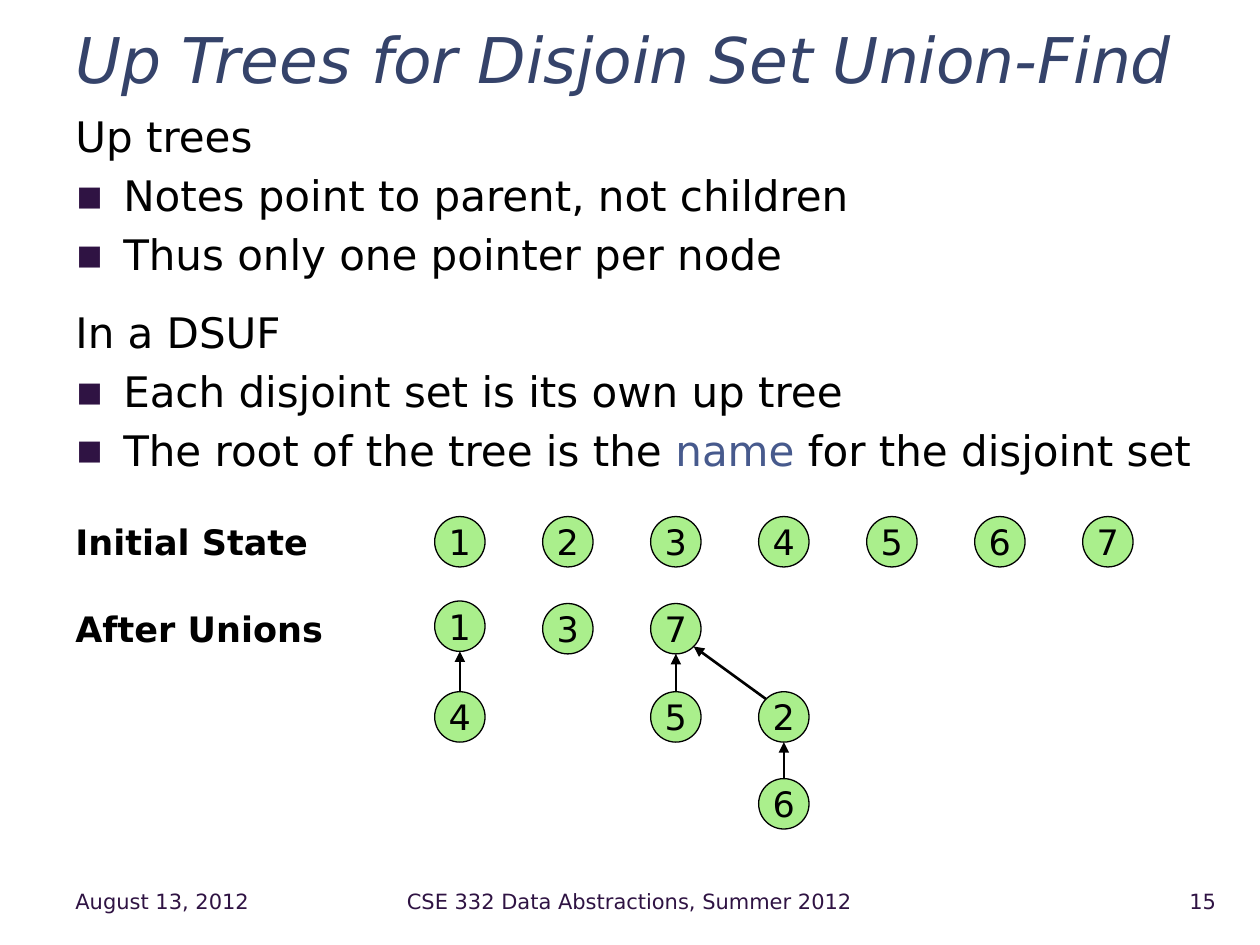
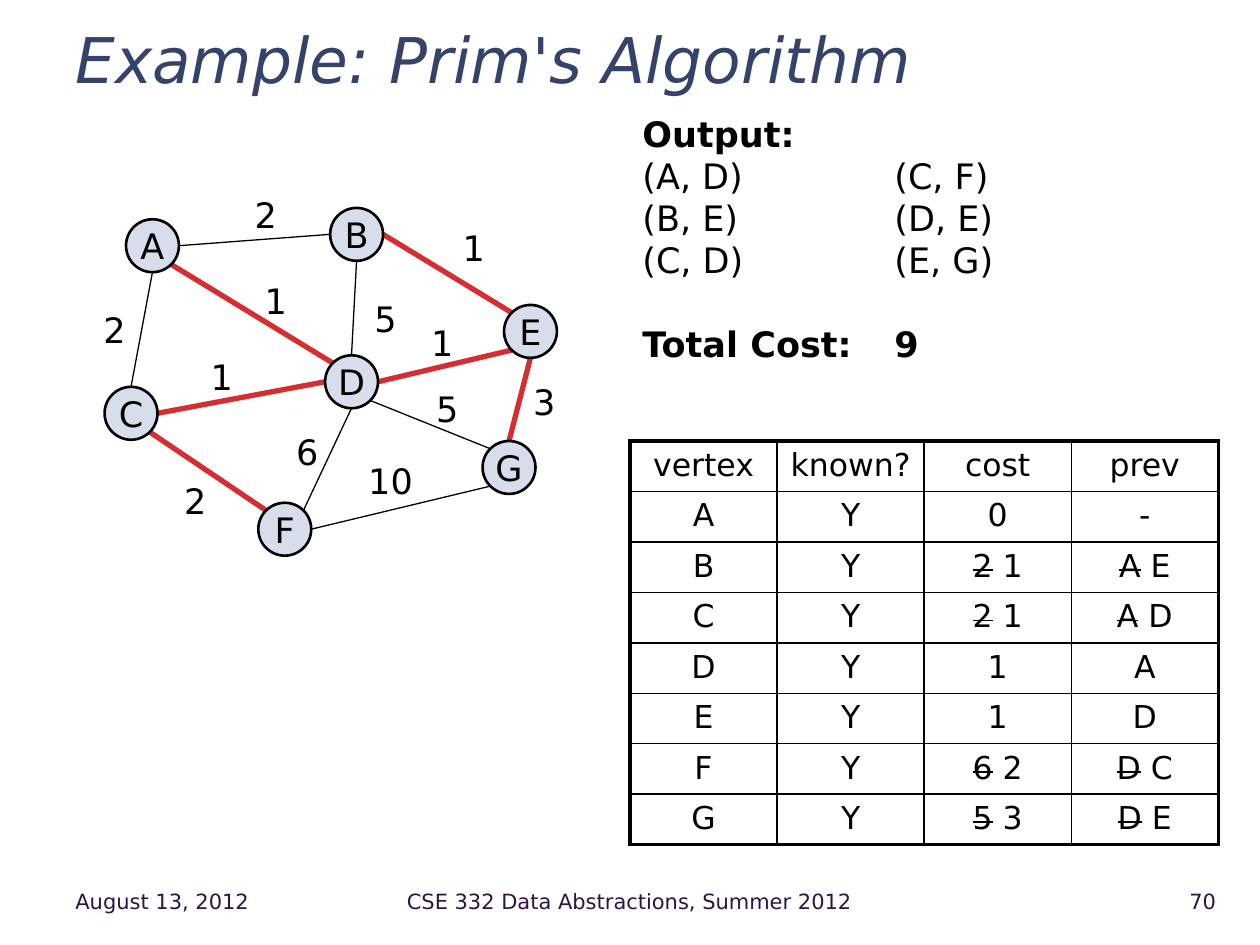
from math import sqrt

from lxml import etree
from pptx import Presentation
from pptx.dml.color import RGBColor
from pptx.enum.shapes import MSO_CONNECTOR as Conn, MSO_SHAPE as Shape
from pptx.enum.text import MSO_ANCHOR as Anchor, PP_ALIGN as Align
from pptx.oxml.ns import qn
from pptx.util import Inches, Pt

FONT = "DejaVu Sans"
BLACK, TITLE, FOOTER = "000000", "35436A", "2F1343"
ACCENT, GREEN, PALE, RED = "475A8D", "AAEF8C", "D7DDEB", "D62D31"
LEFT, WIDTH = 0.5, 9.25

DIAG = sqrt(0.5)
COMPASS = {"N": (0, -1), "NE": (DIAG, -DIAG), "E": (1, 0), "SE": (DIAG, DIAG),
           "S": (0, 1), "SW": (-DIAG, DIAG), "W": (-1, 0), "NW": (-DIAG, -DIAG)}


def rgb(color):
    return RGBColor.from_string(color)


def sub(parent, tag, **attrs):
    return etree.SubElement(parent, qn(tag), attrs)


def add_para(tf, *runs, size=20, color=BLACK, bold=False, italic=False,
             align=Align.LEFT, before=0, bullet=False, tab=None):
    """Fill the frame's empty first paragraph, or add one after the others."""
    p = tf.add_paragraph() if tf.text else tf.paragraphs[0]
    for text in runs:
        p.add_run().text = text
    p.alignment = align
    pPr = p._p.get_or_add_pPr()
    if bullet:
        pPr.set("marL", str(Inches(0.38)))
        pPr.set("indent", str(-Inches(0.38)))
        sub(sub(pPr, "a:buClr"), "a:srgbClr", val=FOOTER)
        sub(pPr, "a:buFont", typeface=FONT)
        sub(pPr, "a:buChar", char="▪")
    if tab:
        sub(sub(pPr, "a:tabLst"), "a:tab", pos=str(Inches(tab)), algn="l")
    if before:
        p.space_before = Pt(before)
    f = p.font
    f.name, f.size, f.bold, f.italic = FONT, Pt(size), bold, italic
    f.color.rgb = rgb(color)
    return p


def add_box(slide, x, y, w, h, anchor=Anchor.TOP):
    tf = slide.shapes.add_textbox(*map(Inches, (x, y, w, h))).text_frame
    tf.word_wrap = True
    tf.vertical_anchor = anchor
    return tf


def add_frame(prs, title, number):
    """Add a slide with its title and footers."""
    slide = prs.slides.add_slide(prs.slide_layouts[6])
    tf = add_box(slide, LEFT, 0.17, WIDTH, 0.53, Anchor.MIDDLE)
    add_para(tf, title, size=36, color=TITLE, italic=True).line_spacing = 1.1
    for x, w, text, align in (
            (LEFT, 1.75, "August 13, 2012", Align.LEFT),
            (2.32, 5.35, "CSE 332 Data Abstractions, Summer 2012", Align.CENTER),
            (8.89, 0.86, number, Align.RIGHT)):
        tf = add_box(slide, x, 6.95, w, 0.4, Anchor.MIDDLE)
        add_para(tf, text, size=12, color=FOOTER, align=align)
    return slide


def add_node(slide, center, label, radius, fill, line_width):
    x, y = center
    sp = slide.shapes.add_shape(
        Shape.OVAL, *map(Inches, (x - radius, y - radius, 2 * radius, 2 * radius)))
    sp.shadow.inherit = False
    sp.fill.solid()
    sp.fill.fore_color.rgb = rgb(fill)
    sp.line.color.rgb = rgb(BLACK)
    sp.line.width = Pt(line_width)
    tf = sp.text_frame
    tf.margin_left = tf.margin_right = tf.margin_top = tf.margin_bottom = 0
    tf.word_wrap = False
    tf.vertical_anchor = Anchor.MIDDLE
    add_para(tf, label, align=Align.CENTER)


def rim(center, site, radius):
    """Point on a node's outline at a compass site."""
    return [Inches(c + radius * d) for c, d in zip(center, COMPASS[site])]


def add_edge(slide, start, end, color=BLACK, width=0.75, arrow=False):
    cx = slide.shapes.add_connector(Conn.STRAIGHT, *start, *end)
    cx.line.color.rgb = rgb(color)
    cx.line.width = Pt(width)
    if arrow:
        sub(cx.line._get_or_add_ln(), "a:tailEnd", type="triangle")
    sub(cx._element.spPr, "a:effectLst")


def add_table(slide, rows, x, y, w, row_h):
    n_rows, n_cols = len(rows), len(rows[0])
    table = slide.shapes.add_table(
        n_rows, n_cols, *map(Inches, (x, y, w, row_h * n_rows))).table
    table.first_row = table.horz_banding = False
    for i, row in enumerate(rows):
        for j, text in enumerate(row):
            cell = table.cell(i, j)
            outer = {"L": j == 0, "R": j == n_cols - 1,
                     "T": i == 0, "B": i == n_rows - 1}
            set_cell(cell, text, outer)


def set_cell(cell, text, outer):
    """Write a cell; of two values the first is struck out."""
    cell.margin_left = cell.margin_right = Inches(0.05)
    tcPr = cell._tc.get_or_add_tcPr()
    for side, is_outer in outer.items():
        ln = sub(tcPr, f"a:ln{side}", w=str(Pt(2.25 if is_outer else 1)))
        sub(sub(ln, "a:solidFill"), "a:srgbClr", val=BLACK)
    cell.fill.background()
    old, space, new = text.partition(" ")
    runs = (old, space + new) if new else (old,)
    p = add_para(cell.text_frame, *runs, size=18, align=Align.CENTER)
    if new:
        p.runs[0]._r.get_or_add_rPr().set("strike", "sngStrike")


def build_up_trees(prs):
    slide = add_frame(prs, "Up Trees for Disjoin Set Union-Find", "15")
    tf = add_box(slide, LEFT, 0.83, WIDTH, 3.25)
    add_para(tf, "Up trees", size=24)
    for text in "Notes point to parent, not children", "Thus only one pointer per node":
        add_para(tf, text, size=24, before=4.8, bullet=True)
    add_para(tf, "In a DSUF", size=24, before=16)
    add_para(tf, "Each disjoint set is its own up tree", size=24, before=4.8, bullet=True)
    p = add_para(tf, "The root of the tree is the ", "name", " for the disjoint set",
                 size=24, before=4.8, bullet=True)
    p.runs[1].font.color.rgb = rgb(ACCENT)

    for y, text in (4.08, "Initial State"), (4.77, "After Unions"):
        add_para(add_box(slide, LEFT, y, 2.5, 0.44), text, bold=True)

    radius = 0.2
    columns = [3.65 + i * 6 / 7 for i in range(7)]
    initial = {str(i + 1): (x, 4.3) for i, x in enumerate(columns)}
    roots, children, leaf = 4.99, 5.69, 6.38
    unions = {"1": (columns[0], 4.97), "3": (columns[1], roots),
              "7": (columns[2], roots), "4": (columns[0], children),
              "5": (columns[2], children), "2": (columns[3], children),
              "6": (columns[3], leaf)}
    for child, site, parent, parent_site in (
            ("4", "N", "1", "S"), ("5", "N", "7", "S"),
            ("2", "NW", "7", "SE"), ("6", "N", "2", "S")):
        add_edge(slide, rim(unions[child], site, radius),
                 rim(unions[parent], parent_site, radius), width=1.5, arrow=True)
    for state in initial, unions:
        for label, center in state.items():
            add_node(slide, center, label, radius, GREEN, 0.75)


def build_prim(prs):
    slide = add_frame(prs, "Example: Prim's Algorithm", "70")
    radius = 0.21
    vertices = {"A": (1.21, 1.95), "B": (2.83, 1.86), "C": (1.04, 3.28),
                "D": (2.79, 3.03), "E": (4.21, 2.63), "F": (2.26, 4.2),
                "G": (4.04, 3.71)}
    # start, site, end, site, in spanning tree, weight, centre of the weight
    edges = [("A", "S", "C", "N", False, "2", 0.91, 2.62),
             ("B", "W", "A", "E", False, "2", 2.11, 1.71),
             ("D", "N", "B", "S", False, "5", 3.06, 2.53),
             ("A", "SE", "D", "NW", True, "1", 2.19, 2.39),
             ("C", "E", "D", "W", True, "1", 1.76, 2.99),
             ("D", "E", "E", "SW", True, "1", 3.51, 2.72),
             ("E", "NW", "B", "E", True, "1", 3.76, 1.97),
             ("C", "SE", "F", "NW", True, "2", 1.55, 3.98),
             ("D", "S", "F", "NE", False, "6", 2.44, 3.59),
             ("D", "SE", "G", "NW", False, "5", 3.55, 3.25),
             ("G", "N", "E", "S", True, "3", 4.32, 3.19),
             ("F", "E", "G", "SW", False, "10", 3.1, 3.82)]
    for a, a_site, b, b_site, in_tree, weight, x, y in edges:
        color, width = (RED, 3) if in_tree else (BLACK, 0.75)
        add_edge(slide, rim(vertices[a], a_site, radius),
                 rim(vertices[b], b_site, radius), color, width)
        tf = add_box(slide, x - 0.3, y - 0.22, 0.6, 0.44)
        add_para(tf, weight, align=Align.CENTER)
    for label, center in vertices.items():
        add_node(slide, center, label, radius, PALE, 1.5)

    tf = add_box(slide, 5, 0.84, 4.6, 2.12)
    add_para(tf, "Output:", bold=True)
    for pair in "(A, D)\t(C, F)", "(B, E)\t(D, E)", "(C, D)\t(E, G)":
        add_para(tf, pair, tab=2)
    add_para(tf, "Total Cost:\t9", bold=True, before=24, tab=2)

    rows = [("vertex", "known?", "cost", "prev"),
            ("A", "Y", "0", "-"),
            ("B", "Y", "2 1", "A E"),
            ("C", "Y", "2 1", "A D"),
            ("D", "Y", "1", "A"),
            ("E", "Y", "1", "D"),
            ("F", "Y", "6 2", "D C"),
            ("G", "Y", "5 3", "D E")]
    add_table(slide, rows, 5, 3.5, 4.67, 0.4)


def main():
    prs = Presentation()
    prs.slide_width, prs.slide_height = Inches(10), Inches(7.5)
    build_up_trees(prs)
    build_prim(prs)
    prs.save("out.pptx")


if __name__ == "__main__":
    main()
